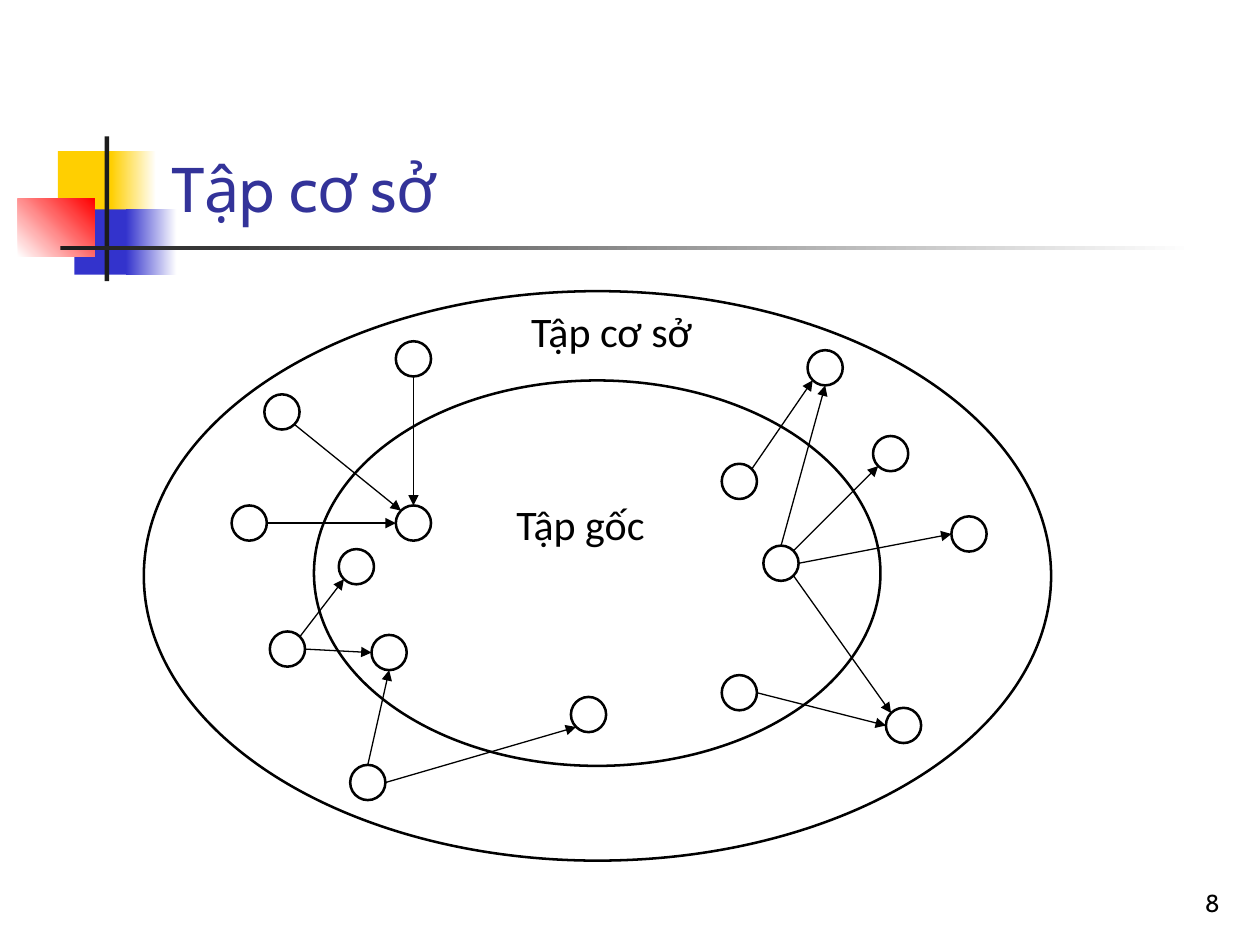
import math

from pptx import Presentation
from pptx import util as u
from pptx.dml.color import RGBColor
from pptx.enum import shapes as sh, text as tx
from pptx.oxml.ns import qn
from lxml import etree

BLACK = RGBColor(0x00, 0x00, 0x00)
WHITE = RGBColor(0xFF, 0xFF, 0xFF)
GOLD = RGBColor(0xFF, 0xCF, 0x01)
BLUE = RGBColor(0x33, 0x33, 0xCC)
RED = RGBColor(0xFF, 0x00, 0x00)
INK = RGBColor(0x1C, 0x1C, 0x1C)
NAVY = RGBColor(0x33, 0x33, 0x99)

SIZE = 0.71
TURNS = {"E": 0, "SE": 45, "S": 90, "SW": 135, "W": 180, "NW": 225, "N": 270, "NE": 315}

BARS = [
    ((1.17, 3.05, 1.22, 1.32), (GOLD,), 0),
    ((2.24, 3.05, 0.91, 1.32), (GOLD, WHITE), 0),
    ((1.5, 4.22, 1.17, 1.32), (BLUE,), 0),
    ((2.54, 4.22, 1.02, 1.32), (BLUE, WHITE), 0),
    ((0.36, 4.01, 1.55, 1.17), (WHITE, RED), 45),
    ((2.11, 2.75, 0.09, 2.92), (INK,), 0),
    ((1.22, 4.95, 22.86, 0.09), (INK, WHITE), 0),
]
ROOT = (6.33, 7.67, 11.42, 7.77)
BASE = (2.9, 5.87, 18.29, 11.48)
NODES = {
    "a": (7.98, 6.88), "b": (5.33, 7.95), "c": (4.67, 10.19), "d": (7.98, 10.19),
    "e": (5.44, 12.73), "f": (6.83, 11.07), "g": (7.49, 12.8), "h": (7.06, 15.42),
    "i": (11.51, 14.05), "j": (14.55, 9.35), "k": (16.28, 7.06), "l": (17.6, 8.79),
    "m": (15.39, 11), "n": (19.18, 10.41), "o": (14.55, 13.61), "p": (17.86, 14.27),
}
LINKS = [
    ("b", "SE", "d", "NW"), ("c", "E", "d", "W"), ("a", "S", "d", "N"),
    ("e", "NE", "f", "SW"), ("e", "E", "g", "W"), ("h", "N", "g", "S"),
    ("h", "E", "i", "SW"), ("j", "NE", "k", "SW"), ("m", "N", "k", "S"),
    ("m", "NE", "l", "SW"), ("m", "E", "n", "W"), ("m", "SE", "p", "NW"),
    ("o", "E", "p", "W"),
]


def add_bar(slide, box, tints, angle):
    """Add a borderless rectangle with a solid or two-stop gradient fill."""
    bar = slide.shapes.add_shape(sh.MSO_SHAPE.RECTANGLE, *map(u.Cm, box))
    bar.shadow.inherit = False
    bar.line.fill.background()
    if len(tints) == 1:
        bar.fill.solid()
        bar.fill.fore_color.rgb = tints[0]
        return
    bar.fill.gradient()
    bar.fill.gradient_angle = angle
    for stop, tint, place in zip(bar.fill.gradient_stops, tints, (0, 1)):
        stop.color.rgb = tint
        stop.position = place


def add_ring(slide, box):
    """Add an unfilled ellipse with a black outline."""
    ring = slide.shapes.add_shape(sh.MSO_SHAPE.OVAL, *map(u.Cm, box))
    ring.shadow.inherit = False
    ring.fill.background()
    ring.line.color.rgb = BLACK
    ring.line.width = u.Pt(1.45)


def find_rim(node, side):
    """Return the point on a node's rim at a compass side."""
    turn = math.radians(TURNS[side])
    left, top = NODES[node]
    half = SIZE / 2
    return u.Cm(left + half + half * math.cos(turn)), u.Cm(top + half + half * math.sin(turn))


def add_link(slide, start, exit, end, entry):
    """Add an arrow from one node's rim to another's."""
    link = slide.shapes.add_connector(
        sh.MSO_CONNECTOR.STRAIGHT, *find_rim(start, exit), *find_rim(end, entry))
    link.line.color.rgb = BLACK
    link.line.width = u.Pt(0.75)
    etree.SubElement(link.line._get_or_add_ln(), qn("a:tailEnd"), type="triangle")
    etree.SubElement(link._element.spPr, qn("a:effectLst"))


def add_text(slide, box, words, font, size, tint,
             anchor=tx.MSO_ANCHOR.BOTTOM, align=tx.PP_ALIGN.LEFT):
    """Add a one-line text box."""
    frame = slide.shapes.add_textbox(*map(u.Cm, box)).text_frame
    frame.word_wrap = True
    frame.vertical_anchor = anchor
    frame.text = words
    line = frame.paragraphs[0]
    line.alignment = align
    face = line.runs[0].font
    face.name, face.size, face.color.rgb = font, u.Pt(size), tint


def main():
    """Build the slide and save it."""
    deck = Presentation()
    deck.slide_width, deck.slide_height = u.Cm(25.4), u.Cm(19.05)
    slide = deck.slides.add_slide(deck.slide_layouts[6])
    for bar in BARS:
        add_bar(slide, *bar)
    add_text(slide, (19.56, 17.35, 5.28, 1.27), "8", "Cabin", 14, BLACK,
             align=tx.PP_ALIGN.RIGHT)
    add_text(slide, (3.2, 0.6, 21.64, 4.06), "Tập cơ sở", "Cabin", 36, NAVY)
    add_ring(slide, ROOT)
    for spot in NODES.values():
        add_ring(slide, (*spot, SIZE, SIZE))
    add_ring(slide, BASE)
    for link in LINKS:
        add_link(slide, *link)
    for box, words in (((10.16, 9.93, 3.5, 1.27), "Tập gốc"),
                       ((10.46, 6.03, 4, 1.27), "Tập cơ sở")):
        add_text(slide, box, words, "Calibri", 24, BLACK, tx.MSO_ANCHOR.TOP)
    deck.save("out.pptx")


if __name__ == "__main__":
    main()
